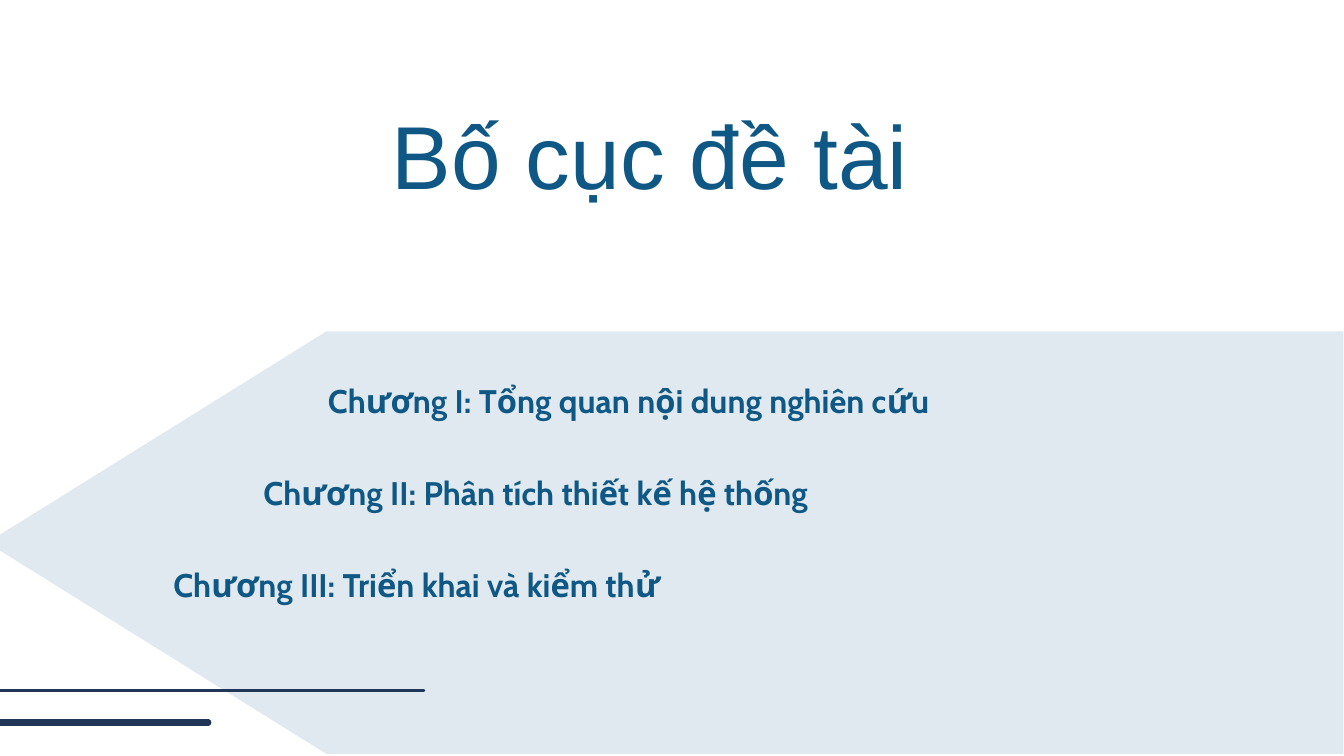
"""Build the thesis outline slide: a title, three chapters on an arrow band, two accent lines."""
import pptx
import pptx.dml.color
import pptx.enum.text
import pptx.oxml
import pptx.oxml.ns
import pptx.util

COLORS = {"band": "DFE9EF", "text": "0F5784", "accent": "213559"}
TITLE = "Bố cục đề tài"
CHAPTERS = [
    ("Chương I: Tổng quan nội dung nghiên cứu", 19.52, 60.48),
    ("Chương II: Phân tích thiết kế hệ thống", 15.68, 59.56),
    ("Chương III: Triển khai và kiểm thử", 10.32, 69.2),
]
ACCENT_LINES = [(-0.4, 12.4, 43, 6.75), (-0.4, 25.24, 41.08, 3)]
BAND = {"tip": -0.76, "shoulder": 19.44, "right": 79.96, "top": 19.72, "bottom": 44.88}
CHAPTER_TOP, CHAPTER_STEP, CHAPTER_HEIGHT = 22.6, 5.48, 2.4
TITLE_BOX = (0, 4.88, 54.04, 7.04)
TITLE_FONT = {"name": "Arial", "size": pptx.util.Pt(95.7), "bold": False}
CHAPTER_FONT = {"name": "Cabin", "size": pptx.util.Pt(35), "bold": True}
TITLE_PARAGRAPH = {
    "alignment": pptx.enum.text.PP_ALIGN.RIGHT, "line_spacing": pptx.util.Pt(133.9)}
CHAPTER_PARAGRAPH = {
    "alignment": pptx.enum.text.PP_ALIGN.LEFT, "line_spacing": pptx.util.Pt(42.9)}
FRAME = {"margin_left": 0, "margin_top": 0, "margin_right": 0, "margin_bottom": 0,
         "word_wrap": True}
COLUMNS, ROWS = 80, 45

presentation = pptx.Presentation()
presentation.slide_width = pptx.util.Inches(20)
presentation.slide_height = pptx.util.Inches(11.25)
slide = presentation.slides.add_slide(presentation.slide_layouts[6])


def place(column, row):
    return (round(column * presentation.slide_width / COLUMNS),
            round(row * presentation.slide_height / ROWS))


def color(name):
    return pptx.dml.color.RGBColor.from_string(COLORS[name])


def apply_format(target, values):
    for name, value in values.items():
        setattr(target, name, value)


def add_band(tip, shoulder, right, top, bottom):
    corners = [(shoulder, top), (right, top), (right, bottom), (shoulder, bottom),
               (tip, (top + bottom) / 2)]
    points = [place(*corner) for corner in corners]
    builder = slide.shapes.build_freeform(*points[0])
    builder.add_line_segments(points[1:], close=True)
    shape = builder.convert_to_shape()
    shape.shadow.inherit = False
    shape.fill.solid()
    shape.fill.fore_color.rgb = color("band")
    shape.line.fill.background()


def add_text(text, box, paragraph_format, font_format):
    shape = slide.shapes.add_textbox(*place(*box[:2]), *place(*box[2:]))
    apply_format(shape.text_frame, FRAME)
    paragraph = shape.text_frame.paragraphs[0]
    paragraph.text = text
    apply_format(paragraph, paragraph_format)
    font = paragraph.runs[0].font
    apply_format(font, font_format)
    font.color.rgb = color("text")


def add_accent_line(start, end, row, width):
    connector = slide.shapes.add_connector(1, *place(start, row), *place(end, row))
    connector.line.color.rgb = color("accent")
    connector.line.width = pptx.util.Pt(width)
    properties = connector._element.spPr
    properties.find(pptx.oxml.ns.qn("a:ln")).set("cap", "rnd")
    properties.append(pptx.oxml.parse_xml(
        f"<a:effectLst {pptx.oxml.ns.nsdecls('a')}/>"))


add_band(**BAND)
add_text(TITLE, TITLE_BOX, TITLE_PARAGRAPH, TITLE_FONT)
for accent_line in ACCENT_LINES:
    add_accent_line(*accent_line)
for index, (chapter, left, width) in enumerate(CHAPTERS):
    chapter_box = (left, CHAPTER_TOP + index * CHAPTER_STEP, width, CHAPTER_HEIGHT)
    add_text(chapter, chapter_box, CHAPTER_PARAGRAPH, CHAPTER_FONT)

presentation.save("out.pptx")
